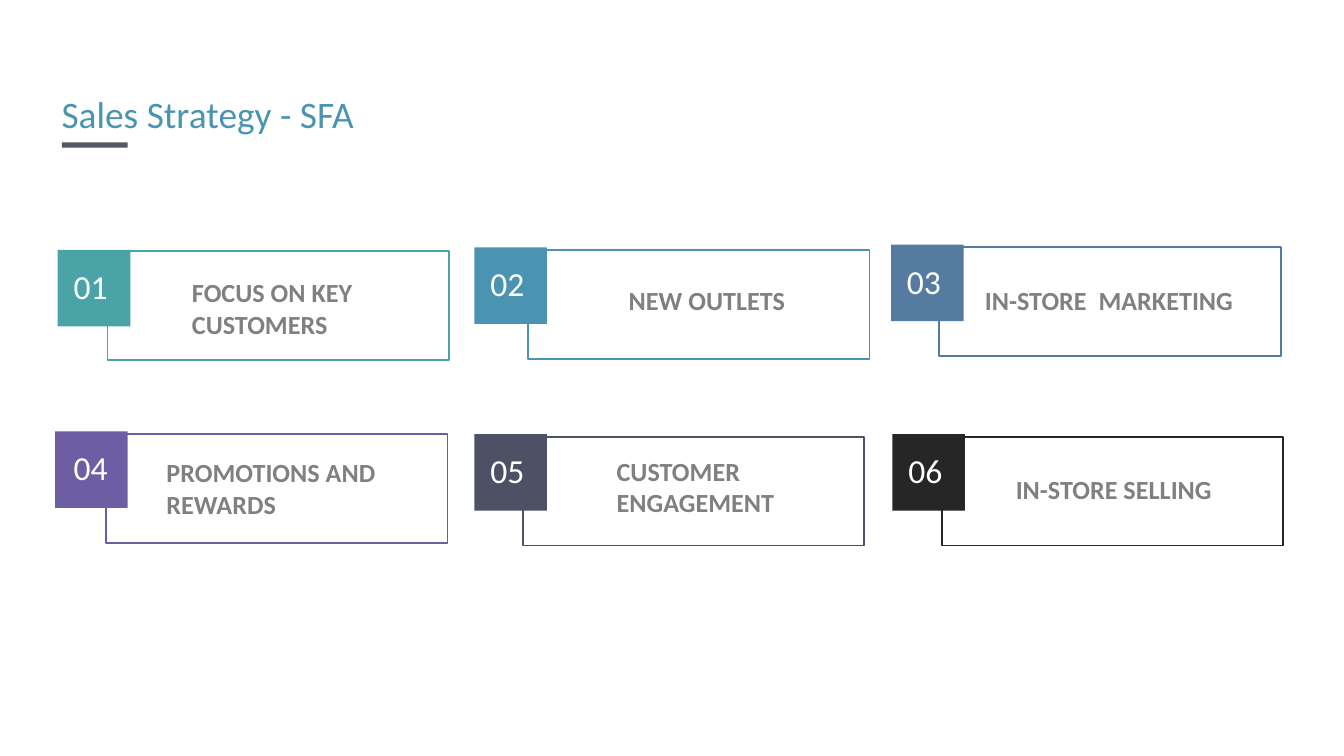
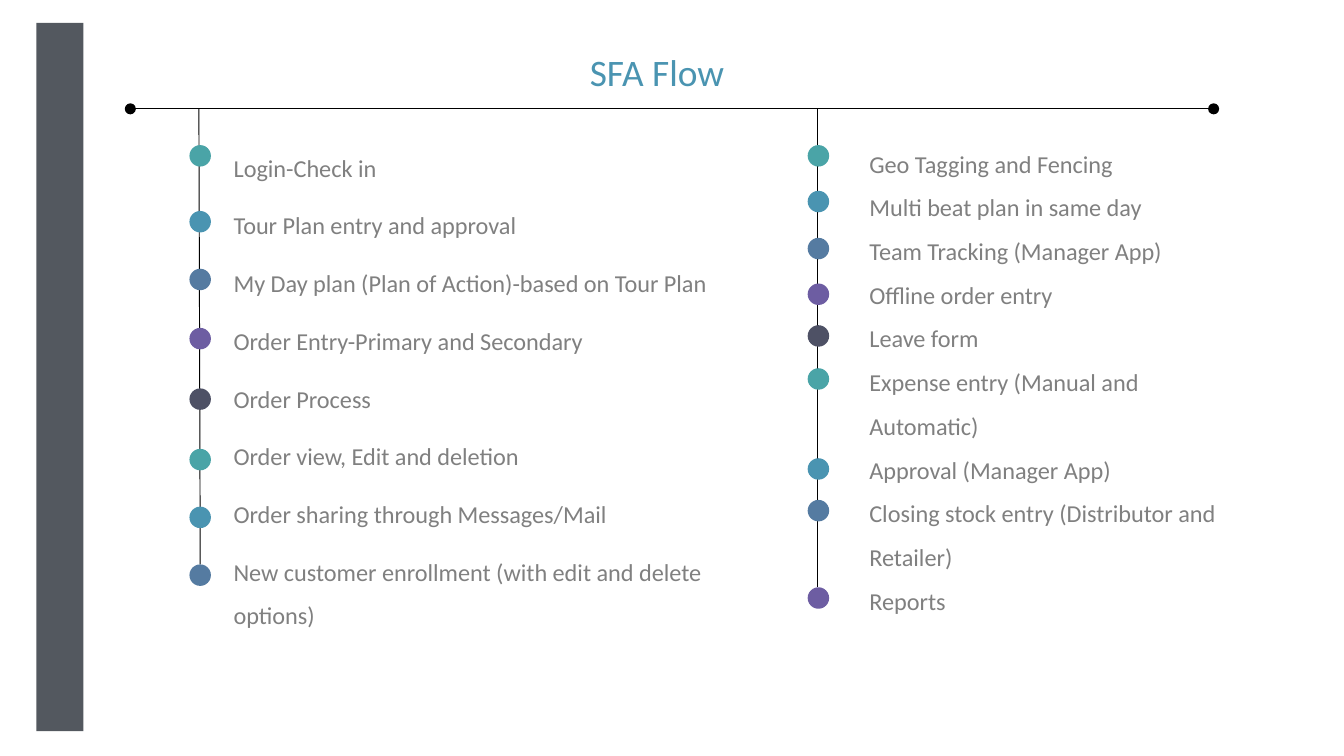
"""Build two sales force automation slides: strategy cards and process flow."""
from lxml import etree
from pptx import Presentation
from pptx.dml.color import RGBColor
from pptx.enum.shapes import MSO_CONNECTOR, MSO_SHAPE
from pptx.enum.text import MSO_AUTO_SIZE
from pptx.oxml.ns import qn
from pptx.util import Inches, Pt

RECTANGLE, OVAL = MSO_SHAPE.RECTANGLE, MSO_SHAPE.OVAL
STRAIGHT = MSO_CONNECTOR.STRAIGHT
GROW, FIXED = MSO_AUTO_SIZE.SHAPE_TO_FIT_TEXT, MSO_AUTO_SIZE.NONE
FONT = "Calibri"
COLORS = {
    "teal": "4AA4A7", "blue": "4A94B1", "steel": "557BA1", "violet": "6D5DA2",
    "slate": "4E5165", "black": "262626", "gray": "808080", "white": "FFFFFF",
    "underline": "535862", "band": "53585F", "line": "000000",
}
DOT_CYCLE = ["teal", "blue", "steel", "violet", "slate"]
TITLE = {"size": 20, "color": "blue"}

deck = Presentation()
deck.slide_width = Inches(10)
deck.slide_height = Inches(10 * 9 / 16)
blank = deck.slide_layouts[6]


def add_text(page, lines, left, top, width, height, size=14, color="gray",
             bold=False, spacing=None, before=None, fit=GROW):
    box = page.shapes.add_textbox(Inches(left), Inches(top), Inches(width), Inches(height))
    frame = box.text_frame
    frame.word_wrap = True
    frame.auto_size = fit
    for index, line in enumerate(lines):
        para = frame.paragraphs[0] if index == 0 else frame.add_paragraph()
        para.line_spacing = spacing
        para.space_before = None if before is None else Pt(before)
        span = para.add_run()
        span.text = line
        span.font.name, span.font.size, span.font.bold = FONT, Pt(size), bold
        span.font.color.rgb = RGBColor.from_string(COLORS[color])


def add_block(page, kind, left, top, width, height, fill=None, outline=None):
    block = page.shapes.add_shape(kind, Inches(left), Inches(top), Inches(width), Inches(height))
    block.shadow.inherit = False
    if fill:
        block.fill.solid()
        block.fill.fore_color.rgb = RGBColor.from_string(COLORS[fill])
    else:
        block.fill.background()
    if outline:
        block.line.color.rgb = RGBColor.from_string(COLORS[outline])
        block.line.width = Pt(1)
    else:
        block.line.fill.background()


page = deck.slides.add_slide(blank)
add_text(page, ["Sales Strategy - SFA"], 0.36, 0.63, 2.4, 0.44, **TITLE)
add_block(page, RECTANGLE, 0.46, 1.06, 0.49, 0.04, fill="underline")

cards = [
    ("teal", 0.43, 1.86, 0.8, 1.87, "FOCUS ON KEY CUSTOMERS", 1.33, 2.01, 2.35, 0.81),
    ("blue", 3.53, 1.84, 3.93, 1.86, "NEW OUTLETS", 4.58, 2.07, 2.23, 0.34),
    ("steel", 6.63, 1.82, 6.99, 1.84, "IN-STORE  MARKETING", 7.23, 2.07, 2.23, 0.34),
    ("violet", 0.41, 3.21, 0.79, 3.23, "PROMOTIONS AND REWARDS", 1.14, 3.35, 2.23, 0.57),
    ("slate", 3.53, 3.23, 3.89, 3.25, "CUSTOMER ENGAGEMENT", 4.49, 3.34, 2.23, 0.57),
    ("black", 6.64, 3.23, 7.01, 3.25, "IN-STORE SELLING", 7.46, 3.47, 2.23, 0.34),
]
for number, card in enumerate(cards, start=1):
    color, tab_left, tab_top, frame_left, frame_top, label, *label_place = card
    number_left = 0.45 if tab_left < 1 else tab_left + 0.02
    add_block(page, RECTANGLE, frame_left, frame_top, 2.54, 0.81, outline=color)
    add_block(page, RECTANGLE, tab_left, tab_top, 0.54, 0.57, fill=color)
    add_text(page, [f"{number:02d}"], number_left, tab_top + 0.07, 0.46, 0.4,
             size=18, color="white")
    add_text(page, [label], *label_place, bold=True)

page = deck.slides.add_slide(blank)
main_steps = [
    "Login-Check in",
    "Tour Plan entry and approval",
    "My Day plan (Plan of Action)-based on Tour Plan",
    "Order Entry-Primary and Secondary",
    "Order Process",
    "Order view, Edit and deletion",
    "Order sharing through Messages/Mail",
    "New customer enrollment (with edit and delete options)",
]
extra_steps = [
    "Geo Tagging and Fencing",
    "Multi beat plan in same day",
    "Team Tracking (Manager App)",
    "Offline order entry",
    "Leave form",
    "Expense entry (Manual and Automatic)",
    "Approval (Manager App)",
    "Closing stock entry (Distributor and Retailer)",
    "Reports",
]
add_text(page, main_steps, 1.64, 0.98, 3.93, 3.95, size=13, spacing=1.5,
         before=7.5, fit=FIXED)
add_text(page, extra_steps, 6.37, 0.95, 3.01, 3.68, size=13, spacing=1.5)
add_text(page, ["SFA Flow"], 4.29, 0.32, 1.28, 0.44, **TITLE)
add_block(page, RECTANGLE, 0.27, 0.17, 0.35, 5.27, fill="band")

rails = [
    (0.97, 0.81, 9.03, 0.81, True),
    (1.48, 0.81, 1.49, 4.2, False),
    (6.08, 0.81, 6.08, 4.37, False),
]
for x1, y1, x2, y2, capped in rails:
    rail = page.shapes.add_connector(STRAIGHT, Inches(x1), Inches(y1), Inches(x2), Inches(y2))
    rail.line.color.rgb = RGBColor.from_string(COLORS["line"])
    rail.line.width = Pt(0.5)
    properties = rail._element.spPr
    if capped:
        for end in ("a:headEnd", "a:tailEnd"):
            etree.SubElement(properties.find(qn("a:ln")), qn(end), type="oval")
    etree.SubElement(properties, qn("a:effectLst"))

dot_columns = [
    (1.41, [1.08, 1.57, 2, 2.44, 2.89, 3.34, 3.77, 4.2]),
    (6.01, [1.08, 1.42, 1.77, 2.11, 2.42, 2.74, 3.41, 3.72, 4.37]),
]
for left, tops in dot_columns:
    for index, top in enumerate(tops):
        add_block(page, OVAL, left, top, 0.16, 0.16, fill=DOT_CYCLE[index % len(DOT_CYCLE)])

deck.save("out.pptx")
